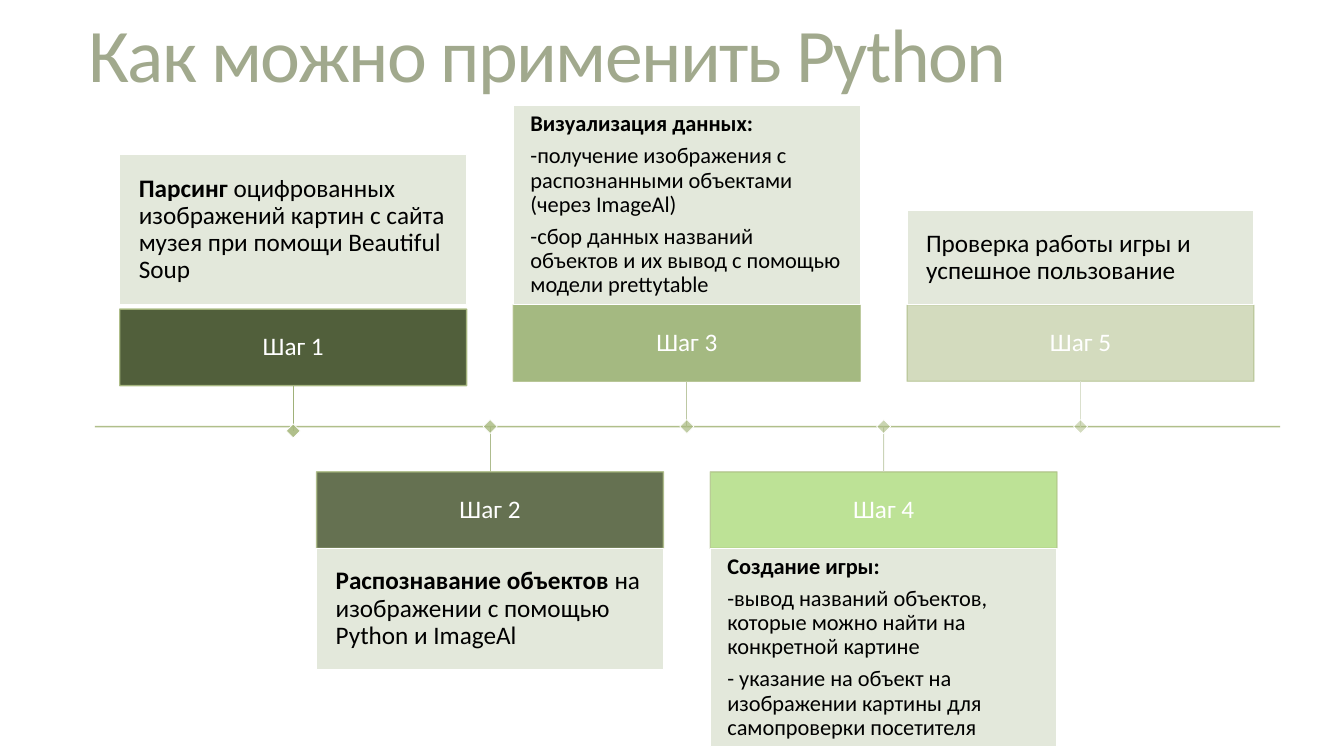
from dataclasses import dataclass

from lxml.etree import SubElement
from pptx import Presentation
from pptx.dml.color import RGBColor
from pptx.enum.shapes import MSO_CONNECTOR as Connector, MSO_SHAPE as Shape
from pptx.enum.text import MSO_ANCHOR as Anchor, MSO_AUTO_SIZE as AutoSize, PP_ALIGN as Align
from pptx.oxml.ns import qn
from pptx.util import Cm, Pt


@dataclass(frozen=True)
class Theme:
    font: str = "Calibri"
    title: str = "7A855D"
    accent: str = "A8B97F"
    panel: str = "E1E6D8"
    white: str = "FFFFFF"
    black: str = "000000"
    title_size: int = 54
    text_size: int = 18
    list_size: int = 16


@dataclass(frozen=True)
class Step:
    """A timeline step; lengths are in centimetres, drop moves it down."""
    name: str
    color: str
    opacity: int
    stem: str
    panel_height: float
    lead: str
    rest: str = ""
    points: tuple = ()
    drop: float = 0


THEME = Theme()
STEPS = (
    Step("Шаг 1", "3F4E26", 90, "A0B179", 3.78, "Парсинг",
         " оцифрованных изображений картин с сайта музея при помощи Beautiful Soup",
         drop=0.11),
    Step("Шаг 2", "3F4E26", 80, "AEBC8E", 3.05, "Распознавание объектов ",
         "на изображении с помощью Python и ImageAl"),
    Step("Шаг 3", "7E9C4C", 70, "BDC8A3", 5.03, "Визуализация данных:", points=(
        "-получение изображения с распознанными объектами (через ImageAl)",
        "-сбор данных названий объектов и их вывод с помощью модели prettytable")),
    Step("Шаг 4", "92D050", 60, "CBD4B8", 5, "Создание игры:", points=(
        "-вывод названий объектов, которые можно найти на конкретной картине",
        "- указание на объект на изображении картины для самопроверки посетителя")),
    Step("Шаг 5", "A8B97F", 50, "DAE0CD", 2.38, "",
         "Проверка работы игры и успешное пользование"),
)


def paint(fill, color, opacity=100):
    fill.solid()
    fill.fore_color.rgb = RGBColor.from_string(color)
    if opacity < 100:
        for rgb in fill._xPr.iter(qn("a:srgbClr")):
            SubElement(rgb, qn("a:alpha"), val=str(opacity * 1000))


def draw_block(slide, box, fill, line, width=1):
    """Add a rectangle; fill and line are (color, opacity) pairs."""
    block = slide.shapes.add_shape(Shape.RECTANGLE, *(Cm(v) for v in box))
    block.shadow.inherit = False
    paint(block.fill, *fill)
    paint(block.line.fill, *line)
    block.line.width = Pt(width)
    return block


def draw_line(slide, start, end, color, width, opacity=100):
    line = slide.shapes.add_connector(
        Connector.STRAIGHT, *(Cm(v) for v in (*start, *end)))
    paint(line.line.fill, color, opacity)
    line.line.width = Pt(width)
    SubElement(line._element.spPr, qn("a:effectLst"))
    return line


def format_text(frame, size, color, inset, align=Align.LEFT):
    frame.word_wrap = True
    frame.vertical_anchor = Anchor.MIDDLE
    frame.margin_left = frame.margin_right = Cm(inset)
    frame.margin_top = frame.margin_bottom = Cm(inset)
    for paragraph in frame.paragraphs:
        paragraph.alignment = align
        paragraph.line_spacing = 0.9
        paragraph.space_after = Pt(size * 0.35)
        for run in paragraph.runs:
            run.font.name = THEME.font
            run.font.size = Pt(size)
            run.font.color.rgb = RGBColor.from_string(color)


def draw_title(slide, text, box):
    title = slide.shapes.title
    title.left, title.top, title.width, title.height = (Cm(v) for v in box)
    frame = title.text_frame
    frame.text = text
    frame.auto_size = AutoSize.NONE
    frame.vertical_anchor = Anchor.MIDDLE
    heading = frame.paragraphs[0]
    heading.alignment = Align.LEFT
    heading.line_spacing = 0.85
    font = heading.runs[0].font
    font.name = THEME.font
    font.size = Pt(THEME.title_size)
    paint(font.fill, THEME.title, 70)
    font._element.set("spc", "-120")


def draw_panel(slide, step, box):
    panel = draw_block(slide, box, (THEME.panel, 90), (THEME.white, 100))
    frame = panel.text_frame
    frame.text = "\n".join((step.lead + step.rest, *step.points))
    opening = frame.paragraphs[0]
    if step.lead:
        opening.text = step.lead
        opening.runs[0].font.bold = True
        if step.rest:
            opening.add_run().text = step.rest
    size, inset = (THEME.list_size, 0.43) if step.points else (THEME.text_size, 0.48)
    format_text(frame, size, THEME.black, inset)


def draw_step(slide, step, left, axis_y, above):
    """Place label, panel, stem and marker above or below the axis."""
    width, height, stem_length, marker_side = 8.74, 1.93, 1.14, 0.25
    axis_y += step.drop
    label_top = axis_y - stem_length - height if above else axis_y + stem_length
    panel_top = (label_top - step.drop - step.panel_height if above
                 else label_top + height)
    center = left + width / 2

    label = draw_block(slide, (left, label_top, width, height),
                       (step.color, step.opacity), (THEME.accent, step.opacity))
    label.text_frame.text = step.name
    format_text(label.text_frame, THEME.text_size, THEME.white, 0.25, Align.CENTER)
    draw_panel(slide, step, (left, panel_top, width, step.panel_height))

    stem = draw_line(slide, (center, label_top), (center, axis_y), step.stem, 0.75)
    stem.begin_connect(label, 2 if above else 0)
    marker = draw_block(
        slide, (center - marker_side / 2, axis_y - marker_side / 2, marker_side, marker_side),
        (THEME.accent, step.opacity), (THEME.white, 100), 0.5)
    marker.rotation = 45


def draw_timeline(slide, steps, left, axis_y, width):
    first_step, pitch = 0.63, 4.96
    draw_line(slide, (left, axis_y), (left + width, axis_y), THEME.accent, 1, 90)
    for index, step in enumerate(steps):
        draw_step(slide, step, left + first_step + index * pitch, axis_y,
                  above=index % 2 == 0)


def main():
    deck = Presentation()
    deck.slide_width, deck.slide_height = Cm(33.87), Cm(19.05)
    slide = deck.slides.add_slide(deck.slide_layouts.get_by_name("Title Only"))
    draw_title(slide, "Как можно применить Python", (1.98, -0.81, 29.92, 4.6))
    draw_timeline(slide, STEPS, left=2.39, axis_y=10.75, width=29.87)
    deck.save("out.pptx")


if __name__ == "__main__":
    main()
